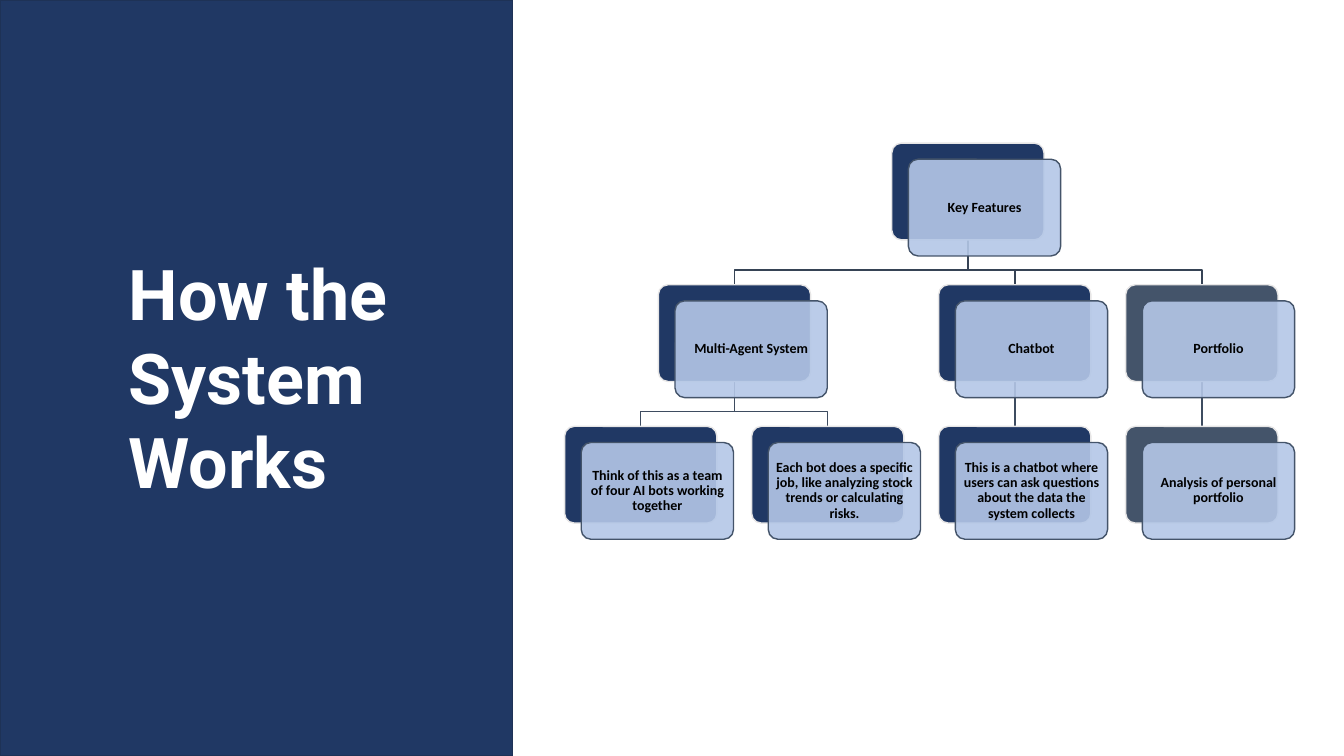
from dataclasses import dataclass

from lxml.etree import SubElement
from pptx import Presentation
from pptx.dml.color import RGBColor
from pptx.enum.shapes import MSO_CONNECTOR as Connector, MSO_SHAPE as Shape
from pptx.enum.text import MSO_ANCHOR as Anchor, MSO_AUTO_SIZE as AutoSize, PP_ALIGN as Align
from pptx.oxml.ns import qn
from pptx.shapes.autoshape import Shape as AutoShape
from pptx.slide import Slide
from pptx.util import Emu, Pt

EMU_PER_PX = 4572  # 200 px to the inch


@dataclass(frozen=True)
class Theme:
    navy: str = "203864"
    navy_edge: str = "1E3256"
    slate: str = "44546A"
    pale_blue: str = "B4C7E7"
    light_grey: str = "E7E6E6"
    root_link: str = "364355"
    branch_link: str = "3E4C60"
    white: str = "FFFFFF"
    black: str = "000000"
    title_font: str = "Roboto"
    title_size: int = 50
    card_font: str = "Calibri"
    card_size: int = 10
    front_opacity: int = 90  # percent


@dataclass(frozen=True)
class Card:
    text: str
    column: float
    row: int
    back: str
    children: tuple["Card", ...] = ()

    @property
    def left(self) -> int:
        return round(FIRST_LEFT + self.column * COLUMN_STEP)

    @property
    def top(self) -> int:
        return FIRST_TOP + self.row * ROW_STEP

    @property
    def centre(self) -> int:
        return self.left + CARD_WIDTH // 2

    @property
    def bottom(self) -> int:
        return self.top + CARD_HEIGHT


THEME = Theme()

# Layout in px
SLIDE_WIDTH, SLIDE_HEIGHT = 2666, 1500
PANEL_WIDTH = 1017
TITLE_BOX = (235, 487, 586, 526)
FIRST_LEFT, FIRST_TOP = 1120, 284
COLUMN_STEP, ROW_STEP = 371, 281
CARD_WIDTH, CARD_HEIGHT = 302, 192
FRONT_SHIFT_X, FRONT_SHIFT_Y = 33, 32
CARD_INSET = 8
LINK_DROP = 60

# Tree of features
TREE = Card("Key Features", 1.75, 0, THEME.navy, (
    Card("Multi-Agent System", 0.5, 1, THEME.navy, (
        Card("Think of this as a team of four AI bots working together", 0, 2, THEME.navy),
        Card("Each bot does a specific job, like analyzing stock trends or calculating risks.",
             1, 2, THEME.navy),
    )),
    Card("Chatbot", 2, 1, THEME.navy, (
        Card("This is a chatbot where users can ask questions about the data the system collects",
             2, 2, THEME.navy),
    )),
    Card("Portfolio", 3, 1, THEME.slate, (
        Card("Analysis of personal portfolio", 3, 2, THEME.slate),
    )),
))


def px(value: int) -> Emu:
    return Emu(value * EMU_PER_PX)


def rgb(colour: str) -> RGBColor:
    return RGBColor.from_string(colour)


def add_box(slide: Slide, kind: Shape, box: tuple[int, int, int, int],
            fill: str, line: str) -> AutoShape:
    shape = slide.shapes.add_shape(kind, *map(px, box))
    shape.shadow.inherit = False
    shape.fill.solid()
    shape.fill.fore_color.rgb = rgb(fill)
    shape.line.color.rgb = rgb(line)
    shape.line.width = Pt(1)
    return shape


def set_opacity(shape: AutoShape, percent: int) -> None:
    colour = shape.element.spPr.find(qn("a:solidFill")).find(qn("a:srgbClr"))
    SubElement(colour, qn("a:alpha")).set("val", str(percent * 1000))


def add_link(slide: Slide, parent: Card, child: Card) -> None:
    if parent.centre == child.centre:
        link = slide.shapes.add_connector(Connector.STRAIGHT, px(parent.centre), px(parent.bottom),
                                          px(child.centre), px(child.top))
        SubElement(link.element.spPr, qn("a:effectLst"))
    else:
        bend = parent.bottom + LINK_DROP
        builder = slide.shapes.build_freeform(parent.centre, parent.bottom, scale=EMU_PER_PX)
        builder.add_line_segments([(parent.centre, bend), (child.centre, bend),
                                   (child.centre, child.top)], close=False)
        link = builder.convert_to_shape()
        link.fill.background()
        link.shadow.inherit = False
    link.line.color.rgb = rgb(THEME.branch_link if parent.row else THEME.root_link)
    link.line.width = Pt(1)


def add_links(slide: Slide, parent: Card) -> None:
    for child in parent.children:
        add_links(slide, child)
        add_link(slide, parent, child)


def add_card(slide: Slide, card: Card) -> None:
    back = add_box(slide, Shape.ROUNDED_RECTANGLE,
                   (card.left, card.top, CARD_WIDTH, CARD_HEIGHT), card.back, THEME.light_grey)
    front = add_box(slide, Shape.ROUNDED_RECTANGLE,
                    (card.left + FRONT_SHIFT_X, card.top + FRONT_SHIFT_Y, CARD_WIDTH, CARD_HEIGHT),
                    THEME.pale_blue, THEME.slate)
    back.adjustments[0] = front.adjustments[0] = 0.1
    set_opacity(front, THEME.front_opacity)

    frame = front.text_frame
    frame.word_wrap = True
    frame.vertical_anchor = Anchor.MIDDLE
    frame.margin_left = frame.margin_right = px(CARD_INSET)
    frame.margin_top = frame.margin_bottom = px(CARD_INSET)
    paragraph = frame.paragraphs[0]
    paragraph.text = card.text
    paragraph.alignment = Align.CENTER
    paragraph.line_spacing = 0.9
    paragraph.font.name = THEME.card_font
    paragraph.font.size = Pt(THEME.card_size)
    paragraph.font.bold = True
    paragraph.font.color.rgb = rgb(THEME.black)

    for child in card.children:
        add_card(slide, child)


def add_title_panel(slide: Slide) -> None:
    panel = add_box(slide, Shape.RECTANGLE, (0, 0, PANEL_WIDTH, SLIDE_HEIGHT),
                    THEME.navy, THEME.navy_edge)
    title = slide.shapes.title
    panel.element.addnext(title.element)  # title in front of the panel
    title.left, title.top, title.width, title.height = map(px, TITLE_BOX)

    frame = title.text_frame
    frame.word_wrap = True
    frame.auto_size = AutoSize.SHAPE_TO_FIT_TEXT
    frame.vertical_anchor = Anchor.TOP
    paragraph = frame.paragraphs[0]
    paragraph.text = "How the System Works"
    paragraph.alignment = Align.LEFT
    paragraph.font.name = THEME.title_font
    paragraph.font.size = Pt(THEME.title_size)
    paragraph.font.bold = True
    paragraph.font.color.rgb = rgb(THEME.white)


def main() -> None:
    presentation = Presentation()
    presentation.slide_width = px(SLIDE_WIDTH)
    presentation.slide_height = px(SLIDE_HEIGHT)
    slide = presentation.slides.add_slide(presentation.slide_layouts[5])  # title only

    # Links lie behind the cards
    add_links(slide, TREE)
    add_card(slide, TREE)
    add_title_panel(slide)
    presentation.save("out.pptx")


if __name__ == "__main__":
    main()
